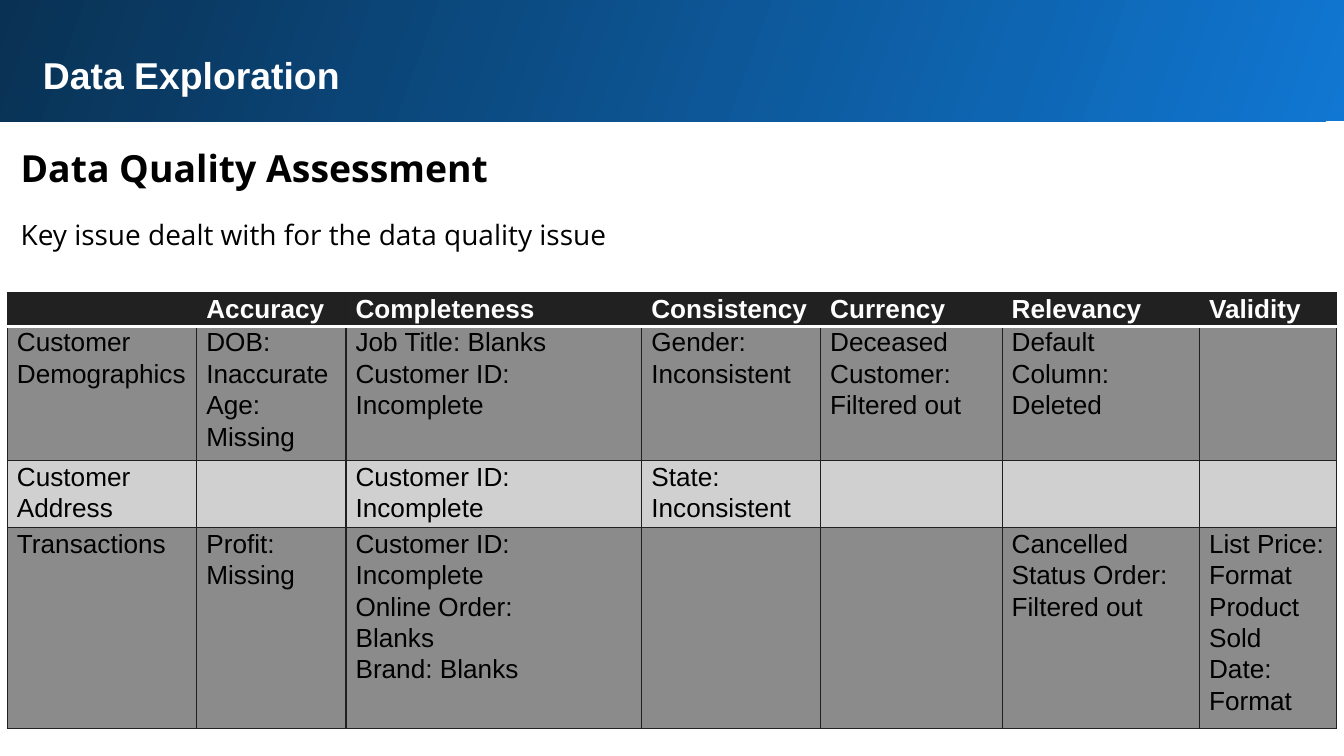
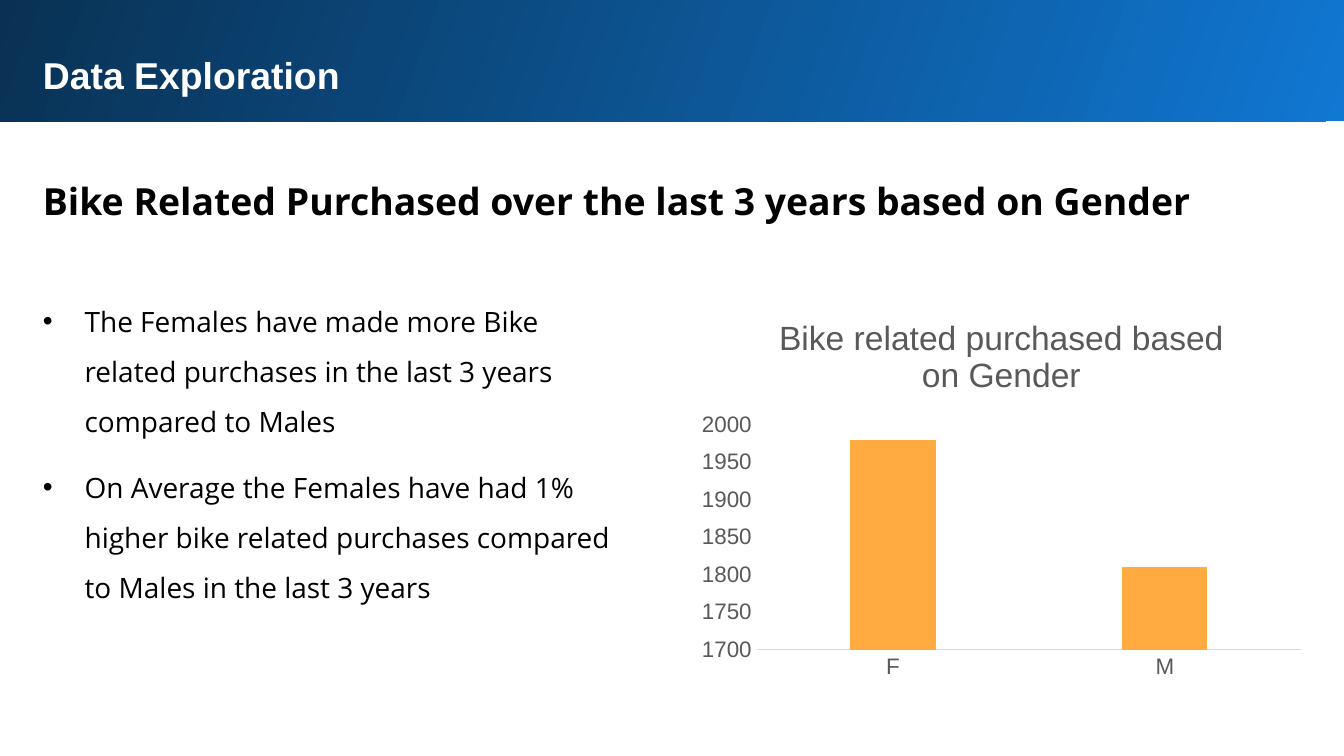
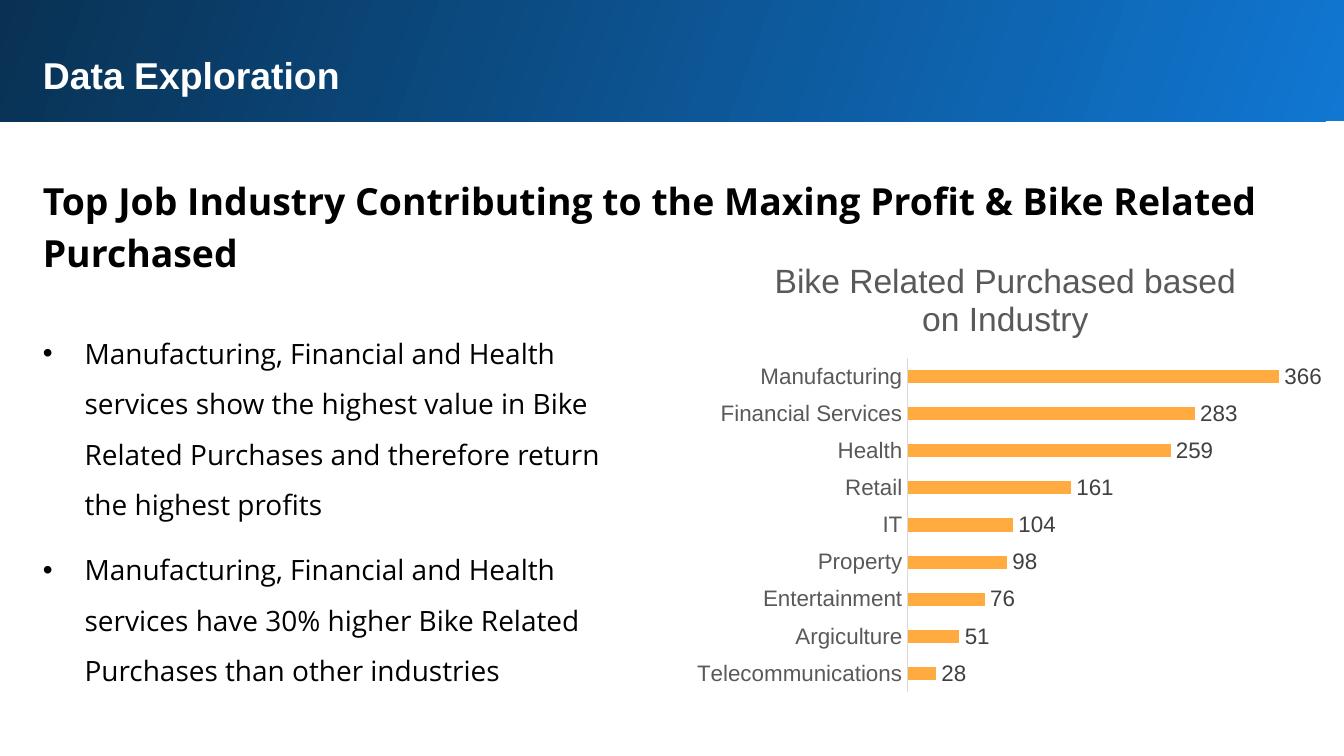
from lxml.etree import SubElement, Element
from pptx import Presentation
from pptx.chart.data import CategoryChartData
from pptx.dml.color import RGBColor
from pptx.enum.chart import XL_CHART_TYPE as ChartType, XL_LABEL_POSITION as LabelPosition
from pptx.enum.chart import XL_TICK_LABEL_POSITION as TickLabels, XL_TICK_MARK as TickMark
from pptx.enum.shapes import MSO_SHAPE as Shape
from pptx.enum.text import MSO_ANCHOR as Anchor, MSO_AUTO_SIZE as AutoSize, PP_ALIGN as Align
from pptx.oxml.ns import qn
from pptx.util import Cm, Pt

BLUE, NAVY, WHITE, BLACK = "1077D2", "093153", "FFFFFF", "000000"
HEADER, BORDER, DARK_ROW, LIGHT_ROW = "212121", "202020", "8B8B8B", "D0D0D0"
ORANGE, AXIS_TEXT, LABEL_TEXT, AXIS_LINE = "FFAB40", "595959", "404040", "D9D9D9"
SANS, READING = "Arial", "Open Sans"

SECTION = "Data Exploration"
LEFT, WIDTH = 0.56, 23.8

QUALITY = {
    "heading": "Data Quality Assessment",
    "intro": "Key issue dealt with for the data quality issue",
    "columns": [3.58, 2.82, 5.59, 3.38, 3.43, 3.73, 2.59],
    "heights": [0.56, 2.36, 1.17, 3.56],
    "rows": [
        ["", "Accuracy", "Completeness", "Consistency", "Currency", "Relevancy", "Validity"],
        ["Customer\nDemographics", "DOB: Inaccurate\nAge: Missing",
         "Job Title: Blanks\nCustomer ID:\nIncomplete", "Gender: Inconsistent",
         "Deceased Customer:\nFiltered out", "Default Column: Deleted", ""],
        ["Customer\nAddress", "", "Customer ID:\nIncomplete", "State: Inconsistent", "", "", ""],
        ["Transactions", "Profit:\nMissing",
         "Customer ID:\nIncomplete\nOnline Order:\nBlanks\nBrand: Blanks", "", "",
         "Cancelled Status Order:\nFiltered out",
         "List Price: Format\nProduct Sold Date:\nFormat"],
    ],
}

FINDINGS = [
    {
        "heading": "Bike Related Purchased over the last 3 years based on Gender",
        "heading_height": 1.42,
        "points": [
            "The Females have made more Bike related purchases in the last 3 years compared to Males",
            "On Average the Females have had 1% higher bike related purchases compared to Males "
            "in the last 3 years",
        ],
        "points_at": (LEFT, 5.18, 11.35, 6.48),
        "chart": {
            "type": ChartType.COLUMN_CLUSTERED,
            "title": "Bike related purchased based on Gender",
            "at": (13.03, 5.56, 11.79, 7.42),
            "values": {"F": 1980, "M": 1810},
            "scale": (1700, 2000, 50), "gap": 219, "overlap": -27, "labels": False,
        },
    },
    {
        "heading": "Top Job Industry Contributing to the Maxing Profit & Bike Related Purchased",
        "heading_height": 2.41,
        "points": [
            "Manufacturing, Financial and Health services show the highest value in Bike Related "
            "Purchases and therefore return the highest profits",
            "Manufacturing, Financial and Health services have 30% higher Bike Related Purchases "
            "than other industries",
        ],
        "points_at": (LEFT, 5.79, 11.35, 7.42),
        "chart": {
            "type": ChartType.BAR_CLUSTERED,
            "title": "Bike Related Purchased based on Industry",
            "at": (12.93, 4.47, 12.14, 8.79),
            "values": {
                "Telecommunications": 28, "Argiculture": 51, "Entertainment": 76,
                "Property": 98, "IT": 104, "Retail": 161, "Health": 259,
                "Financial Services": 283, "Manufacturing": 366,
            },
            "scale": (0, 400, 50), "gap": 182, "overlap": 0, "labels": True,
        },
    },
]


def color(value):
    return RGBColor.from_string(value)


def style_font(font, size, name, value, bold=False):
    font.size, font.name, font.bold = Pt(size), name, bold
    font.color.rgb = color(value)


def write(frame, text, size, name, value, bold=False, spacing=1.0, after=0):
    frame.text = text
    frame.word_wrap = True
    for para in frame.paragraphs:
        para.alignment = Align.LEFT
        para.line_spacing = spacing
        para.space_before, para.space_after = Pt(0), Pt(after)
        for span in para.runs:
            style_font(span.font, size, name, value, bold)
        if not para.runs:
            SubElement(para._p, qn("a:endParaRPr"), sz=str(size * 100))


def place(box, at):
    box.left, box.top, box.width, box.height = map(Cm, at)
    frame = box.text_frame
    frame.margin_left = frame.margin_right = Cm(0.25)
    frame.margin_top = frame.margin_bottom = Cm(0.25)
    frame.vertical_anchor = Anchor.TOP
    frame.auto_size = AutoSize.SHAPE_TO_FIT_TEXT
    return frame


def indent(para, hang):
    props = para._p.get_or_add_pPr()
    props.set("marL", str(Cm(hang)))
    props.set("indent", str(-Cm(hang)))
    if hang:
        SubElement(props, qn("a:buFont"), typeface=SANS)
        SubElement(props, qn("a:buChar"), char="•")
    else:
        SubElement(props, qn("a:buNone"))


def add_page(deck, heading, heading_at):
    page = deck.slides.add_slide(deck.slide_layouts[1])
    band = page.shapes.add_shape(Shape.RECTANGLE, *map(Cm, (-0.05, -0.05, 25.53, 2.34)))
    band.shadow.inherit = False
    band.line.fill.background()
    band.fill.gradient()
    band.fill.gradient_angle = 160
    for stop, value in zip(band.fill.gradient_stops, (BLUE, NAVY)):
        stop.color.rgb = color(value)
    page.shapes._spTree.insert(2, band._element)

    title = place(page.shapes.title, (LEFT, 0.74, WIDTH, 1.37))
    write(title, SECTION, 20, SANS, WHITE, bold=True)
    box = page.shapes.add_textbox(0, 0, 0, 0)
    write(place(box, heading_at), heading, 20, READING, BLACK, bold=True, spacing=1.15)
    return page


def add_body(page, lines, at, spacing, after, hang):
    frame = place(page.placeholders[1], at)
    write(frame, "\n".join(lines), 15, READING, BLACK, spacing=spacing, after=after)
    for para in frame.paragraphs:
        indent(para, hang)


def set_borders(cell, row):
    white_sides = {0: "B", 1: "T"}
    for index, side in enumerate("LRTB"):
        white = white_sides.get(row) == side
        line = Element(qn("a:ln" + side), w=str(Pt(2 if white else 0.75)))
        fill = SubElement(line, qn("a:solidFill"))
        SubElement(fill, qn("a:srgbClr"), val=WHITE if white else BORDER)
        cell._tc.get_or_add_tcPr().insert(index, line)


def add_quality_table(page):
    rows, columns, heights = (QUALITY[key] for key in ("rows", "columns", "heights"))
    frame = page.shapes.add_table(
        len(rows), len(columns), Cm(0.14), Cm(5.53), Cm(sum(columns)), Cm(sum(heights)))
    table = frame.table
    table.horz_banding = False
    for column, width in zip(table.columns, columns):
        column.width = Cm(width)
    fills = [HEADER, DARK_ROW, LIGHT_ROW, DARK_ROW]
    for row, texts in enumerate(rows):
        table.rows[row].height = Cm(heights[row])
        for column, text in enumerate(texts):
            cell = table.cell(row, column)
            cell.margin_left = cell.margin_right = Cm(0.18)
            cell.margin_top = cell.margin_bottom = 0
            cell.fill.solid()
            cell.fill.fore_color.rgb = color(fills[row])
            set_borders(cell, row)
            write(cell.text_frame, text, 14, SANS, BLACK if row else WHITE,
                  bold=row == 0, spacing=1.07)


def add_purchase_chart(page, details):
    data = CategoryChartData()
    data.categories = list(details["values"])
    data.add_series("Series 1", list(details["values"].values()))
    chart = page.shapes.add_chart(details["type"], *map(Cm, details["at"]), data).chart
    style_font(chart.font, 10, SANS, BLACK)
    chart.has_legend = False
    title = chart.chart_title.text_frame
    title.text = details["title"]
    style_font(title.paragraphs[0].runs[0].font, 18, SANS, AXIS_TEXT)

    for axis in (chart.category_axis, chart.value_axis):
        axis.has_major_gridlines = False
        axis.major_tick_mark = axis.minor_tick_mark = TickMark.NONE
        style_font(axis.tick_labels.font, 12, SANS, AXIS_TEXT)
    chart.category_axis.format.line.color.rgb = color(AXIS_LINE)
    chart.category_axis.format.line.width = Pt(0.75)
    values = chart.value_axis
    values.minimum_scale, values.maximum_scale, values.major_unit = details["scale"]
    values.format.line.fill.background()

    plot = chart.plots[0]
    plot.vary_by_categories = False
    plot.gap_width, plot.overlap = details["gap"], details["overlap"]
    bars = plot.series[0].format.fill
    bars.solid()
    bars.fore_color.rgb = color(ORANGE)
    if details["labels"]:
        values.tick_label_position = TickLabels.NONE
        values.visible = False
        labels = plot.series[0].data_labels
        labels.show_value = True
        labels.position = LabelPosition.OUTSIDE_END
        style_font(labels.font, 12, SANS, LABEL_TEXT)


def main():
    deck = Presentation()
    deck.slide_width, deck.slide_height = Cm(25.4), Cm(14.29)

    page = add_page(deck, QUALITY["heading"], (0.14, 2.36, WIDTH, 1.42))
    add_body(page, [QUALITY["intro"]], (0.14, 3.76, 12.14, 1.19), 1.15, 0, 0)
    add_quality_table(page)

    for finding in FINDINGS:
        page = add_page(deck, finding["heading"], (LEFT, 3.0, WIDTH, finding["heading_height"]))
        add_body(page, finding["points"], finding["points_at"], 1.5, 8, 0.79)
        add_purchase_chart(page, finding["chart"])

    deck.save("out.pptx")


if __name__ == "__main__":
    main()
